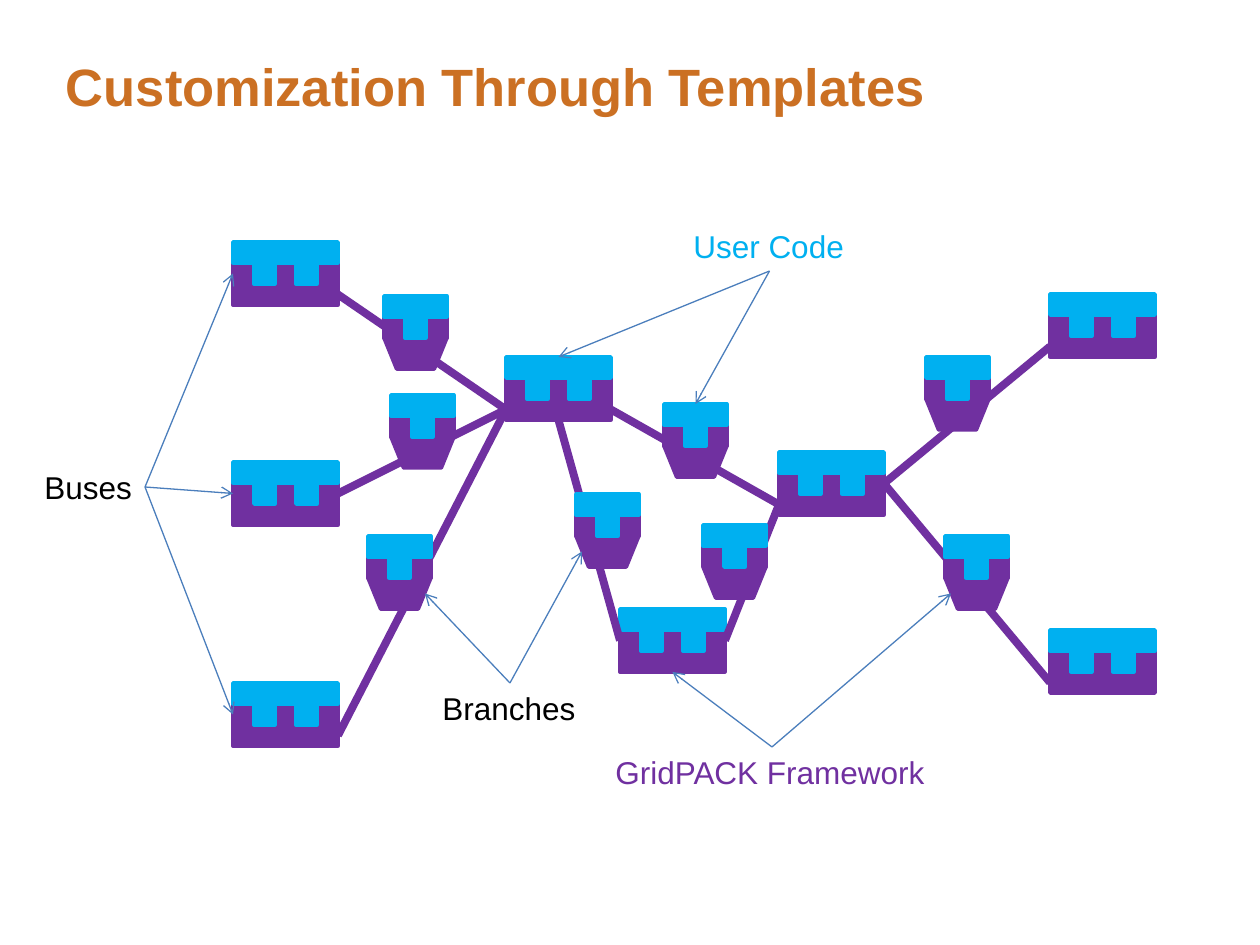
import pptx
import pptx.util
import pptx.dml.color
import pptx.enum.shapes
import pptx.enum.text
import pptx.oxml.ns
import lxml.etree

THEME = {
    "font": "Arial", "title_size": 30, "label_size": 18,
    "title": "CB7023", "framework": "7030A0", "user": "00B0F0",
    "text": "000000", "arrow": "4B7EBC",
    "block_line": 2, "wire_line": 4.5, "arrow_line": 0.75,
}
PX_PER_INCH = 126
SLIDE_SIZE = (1260, 945)
CELL = 21
CONE_HEIGHT = 31
CONE_INSET = 6
TOP, LEFT, BOTTOM, RIGHT = range(4)

TITLE = ("Customization Through Templates", (66, 64, 1130, 136))
BUSES = {
    "north west": (233, 242), "west": (233, 462), "south west": (233, 683),
    "hub": (506, 357), "south": (620, 609), "east hub": (779, 452),
    "north east": (1050, 294), "south east": (1050, 630),
}
BRANCHES = {
    "north west link": (384, 296), "west link": (391, 395),
    "south west link": (368, 536), "south link": (576, 494),
    "east link": (664, 404), "south hub link": (703, 525),
    "north east link": (926, 357), "south east link": (945, 536),
}
WIRES = [
    (("north west", "base", RIGHT), ("hub", "base", LEFT)),
    (("west", "last tooth", RIGHT), ("hub", "base", LEFT)),
    (("south west", "base", RIGHT), ("hub", "base", LEFT)),
    (("hub", "base", BOTTOM), ("south", "first tooth", LEFT)),
    (("hub", "base", RIGHT), ("east hub", "base", LEFT)),
    (("south", "last tooth", RIGHT), ("east hub", "base", LEFT)),
    (("east hub", "last tooth", RIGHT), ("north east", "base", LEFT)),
    (("east hub", "last tooth", RIGHT), ("south east", "base", LEFT)),
]
LABELS = [
    ("GridPACK Framework", (603, 747, 338, 50), "framework", TOP,
     [("south", "base", BOTTOM), ("south east link", "base", LEFT)]),
    ("User Code", (681, 221, 177, 50), "user", BOTTOM,
     [("hub", "cap", TOP), ("east link", "cap", TOP)]),
    ("Buses", (32, 462, 113, 50), "text", RIGHT,
     [(name, "first tooth", LEFT) for name in ("north west", "west", "south west")]),
    ("Branches", (430, 683, 160, 50), "text", TOP,
     [("south link", "base", LEFT), ("south west link", "base", RIGHT)]),
]


def px(*lengths):
    return [round(length * pptx.util.Inches(1) / PX_PER_INCH) for length in lengths]


def color(role):
    return pptx.dml.color.RGBColor.from_string(THEME[role])


def add_block(group, kind, box, role):
    shape = group.shapes.add_shape(kind, *px(*box))
    shape.shadow.inherit = False
    shape.fill.solid()
    shape.fill.fore_color.rgb = color(role)
    shape.line.color.rgb = color(role)
    shape.line.width = pptx.util.Pt(THEME["block_line"])
    return shape


def add_unit(slide, corner, columns, base_kind, base_height):
    left, top = corner
    rectangle = pptx.enum.shapes.MSO_SHAPE.RECTANGLE
    framework = slide.shapes.add_group_shape()
    user = slide.shapes.add_group_shape()
    teeth = []
    for column in range(columns):
        group, role = (user, "user") if column % 2 else (framework, "framework")
        box = (left + column * CELL, top + CELL, CELL, CELL)
        teeth.append(add_block(group, rectangle, box, role))
    width = columns * CELL
    base = add_block(framework, base_kind, (left, top + 2 * CELL, width, base_height), "framework")
    cap = add_block(user, rectangle, (left, top, width, CELL), "user")
    return {"first tooth": teeth[0], "last tooth": teeth[-1], "base": base, "cap": cap}


def add_link(slide, start, end, role, width, arrow=False):
    connector = slide.shapes.add_connector(
        pptx.enum.shapes.MSO_CONNECTOR.STRAIGHT, 0, 0, 0, 0)
    connector.begin_connect(*start)
    connector.end_connect(*end)
    shape, side = end
    if shape.auto_shape_type == pptx.enum.shapes.MSO_SHAPE.FLOWCHART_MANUAL_OPERATION:
        inset = px(CONE_INSET)[0]
        connector.end_x += inset if side == LEFT else -inset
    connector.line.color.rgb = color(role)
    connector.line.width = pptx.util.Pt(THEME[width])
    properties = connector._element.spPr
    qn = pptx.oxml.ns.qn
    if arrow:
        lxml.etree.SubElement(properties.find(qn("a:ln")), qn("a:tailEnd"), type="arrow")
    lxml.etree.SubElement(properties, qn("a:effectLst"))


def add_text(slide, text, box, role, size):
    shape = slide.shapes.add_textbox(*px(*box))
    paragraph = shape.text_frame.paragraphs[0]
    paragraph.text = text
    paragraph.font.name = THEME["font"]
    paragraph.font.size = pptx.util.Pt(THEME[size])
    paragraph.font.color.rgb = color(role)
    return shape


def add_title(slide):
    text, box = TITLE
    frame = add_text(slide, text, box, "title", "title_size").text_frame
    frame.margin_left = frame.margin_right = frame.margin_top = frame.margin_bottom = 0
    frame.word_wrap = True
    frame.paragraphs[0].font.bold = True
    frame.paragraphs[0].line_spacing = 0.85


def main():
    presentation = pptx.Presentation()
    presentation.slide_width, presentation.slide_height = px(*SLIDE_SIZE)
    slide = presentation.slides.add_slide(presentation.slide_layouts[6])
    shapes = pptx.enum.shapes.MSO_SHAPE
    add_title(slide)

    units = {}
    for name, corner in BUSES.items():
        units[name] = add_unit(slide, corner, 5, shapes.RECTANGLE, CELL)
    for ends in WIRES:
        start, end = [(units[name][part], side) for name, part, side in ends]
        add_link(slide, start, end, "framework", "wire_line")
    for name, corner in BRANCHES.items():
        units[name] = add_unit(
            slide, corner, 3, shapes.FLOWCHART_MANUAL_OPERATION, CONE_HEIGHT)

    for text, box, role, label_side, targets in LABELS:
        label = add_text(slide, text, box, role, "label_size")
        label.text_frame.word_wrap = False
        label.text_frame.auto_size = pptx.enum.text.MSO_AUTO_SIZE.SHAPE_TO_FIT_TEXT
        for name, part, side in targets:
            add_link(slide, (label, label_side), (units[name][part], side),
                     "arrow", "arrow_line", arrow=True)

    presentation.save("out.pptx")


if __name__ == "__main__":
    main()
